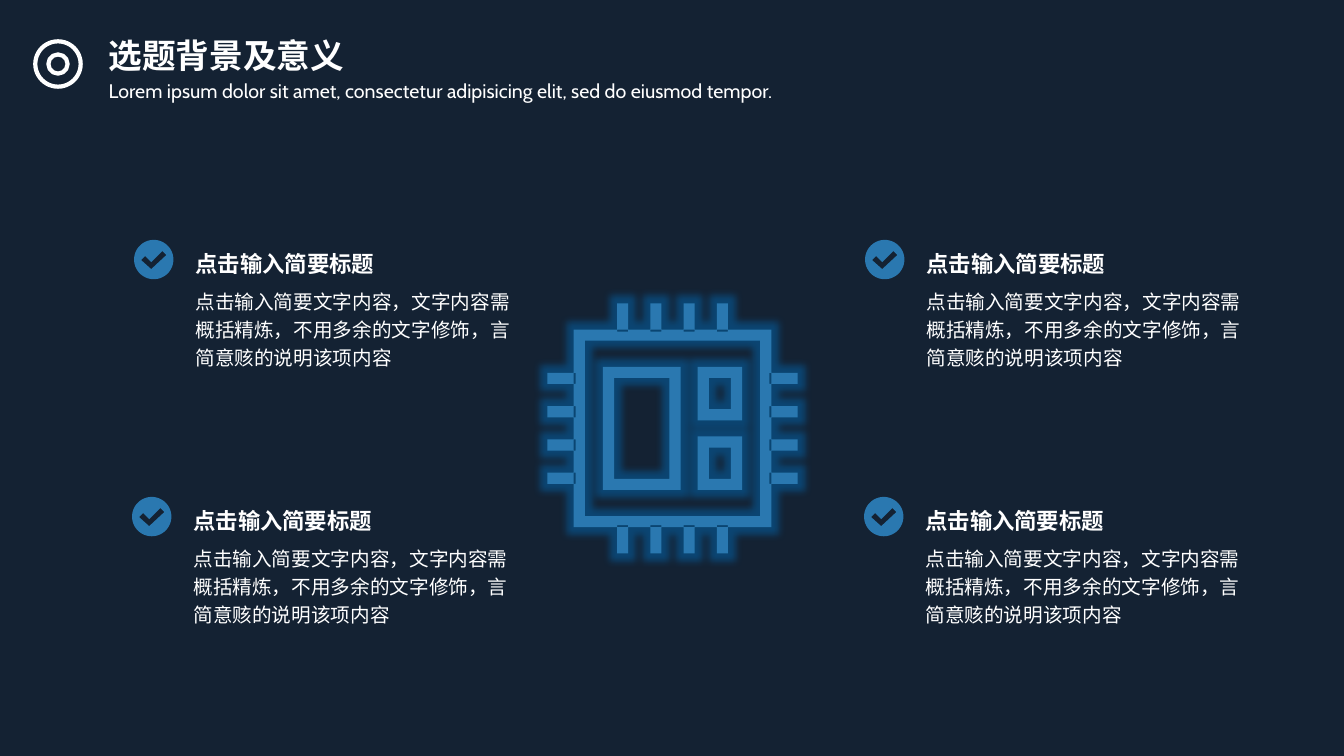
from dataclasses import dataclass
from math import cos, sin, tau

from lxml.etree import SubElement
from pptx import Presentation
from pptx.dml.color import RGBColor
from pptx.enum.shapes import MSO_SHAPE
from pptx.enum.text import MSO_AUTO_SIZE
from pptx.oxml.ns import qn
from pptx.util import Inches, Pt


@dataclass(frozen=True)
class Theme:
    back: str = "142233"
    blue: str = "2A78B0"
    glow: str = "0070C0"
    white: str = "FFFFFF"
    font: str = "Cabin"
    title: int = 24
    head: int = 16
    body: int = 14


THEME = Theme()
HEAD = "点击输入简要标题"
BODY = "点击输入简要文字内容，文字内容需概括精炼，不用多余的文字修饰，言简意赅的说明该项内容"
CARDS = [(8.58, 2.38), (8.57, 4.93), (1.31, 4.93), (1.33, 2.38)]
TICK = [(0.17, 0.29), (0.07, 0.2), (0.11, 0.16), (0.17, 0.22), (0.28, 0.11), (0.32, 0.15)]
FRAMES = [
    (5.69, 3.27, 1.96, 1.96),
    (5.98, 3.64, 0.77, 1.22),
    (6.92, 3.64, 0.44, 0.53),
    (6.92, 4.33, 0.44, 0.53),
]
BAR = 0.11
PIN = 0.28


def color(value):
    return RGBColor.from_string(value)


def add_text(shapes, text, left, top, width, height, size=THEME.body, bold=False, wrap=True):
    box = shapes.add_textbox(Inches(left), Inches(top), Inches(width), Inches(height))
    frame = box.text_frame
    frame.word_wrap = wrap
    frame.auto_size = MSO_AUTO_SIZE.SHAPE_TO_FIT_TEXT
    line = frame.paragraphs[0]
    line.line_spacing = 1.2
    run = line.add_run()
    run.text = text
    run.font.name = THEME.font
    run.font.size = Pt(size)
    run.font.bold = bold
    run.font.color.rgb = color(THEME.white)


def add_outline(shapes, loops):
    pen = None
    for loop in loops:
        start, *rest = [(Inches(x), Inches(y)) for x, y in loop]
        if pen is None:
            pen = shapes.build_freeform(*start)
        else:
            pen.move_to(*start)
        pen.add_line_segments(rest, close=True)
    shape = pen.convert_to_shape()
    shape.shadow.inherit = False
    shape.fill.solid()
    shape.fill.fore_color.rgb = color(THEME.blue)
    shape.line.fill.background()
    return shape


def add_ring(shapes, left, top, size):
    ring = shapes.add_shape(
        MSO_SHAPE.OVAL, Inches(left), Inches(top), Inches(size), Inches(size)
    )
    ring.shadow.inherit = False
    ring.fill.background()
    ring.line.color.rgb = color(THEME.white)
    ring.line.width = Pt(3)


def add_glow(shape, radius, alpha):
    effects = shape.element.spPr.find(qn("a:effectLst"))
    glow = SubElement(effects, qn("a:glow"), rad=str(radius))
    tint = SubElement(glow, qn("a:srgbClr"), val=THEME.glow)
    SubElement(tint, qn("a:alpha"), val=str(alpha * 1000))


def add_check(shapes, left, top, size=0.39, count=72):
    half = size / 2
    angles = [tau * i / count for i in range(count)]
    disc = [(left + half + half * cos(a), top + half + half * sin(a)) for a in angles]
    tick = [(left + x, top + y) for x, y in TICK]
    add_outline(shapes, [disc, tick])


def add_card(slide, left, top):
    shapes = slide.shapes.add_group_shape().shapes
    add_check(shapes, left, top)
    add_text(shapes, HEAD, left + 0.51, top, 2, 0.42, size=THEME.head, bold=True, wrap=False)
    add_text(shapes, BODY, left + 0.51, top + 0.4, 3.4, 0.95)


def block(left, top, width, height):
    right, base = left + width, top + height
    return [(left, top), (right, top), (right, base), (left, base)]


def add_chip(slide):
    loops = []
    for left, top, width, height in FRAMES:
        loops.append(block(left, top, width, height))
        loops.append(block(left + BAR, top + BAR, width - 2 * BAR, height - 2 * BAR))
    for i in range(4):
        step = 0.33 * i
        loops += [block(6.12 + step, top, BAR, PIN) for top in (3.01, 5.21)]
        loops += [block(left, 3.7 + step, PIN, BAR) for left in (5.43, 7.63)]
    add_glow(add_outline(slide.shapes, loops), Pt(11), 45)


def add_header(slide):
    add_text(
        slide.shapes,
        "Lorem ipsum dolor sit amet, consectetur adipisicing elit, sed do eiusmod tempor.",
        0.98, 0.69, 7.85, 0.36,
    )
    add_text(slide.shapes, "选题背景及意义", 0.98, 0.22, 2.9, 0.59, size=THEME.title, bold=True)
    rings = slide.shapes.add_group_shape().shapes
    add_ring(rings, 0.35, 0.41, 0.45)
    add_ring(rings, 0.48, 0.54, 0.19)


def main():
    deck = Presentation()
    deck.slide_width, deck.slide_height = Inches(13.33), Inches(7.5)
    slide = deck.slides.add_slide(deck.slide_layouts[6])
    slide.background.fill.solid()
    slide.background.fill.fore_color.rgb = color(THEME.back)
    add_header(slide)
    for left, top in CARDS:
        add_card(slide, left, top)
    add_chip(slide)
    deck.save("out.pptx")


if __name__ == "__main__":
    main()
